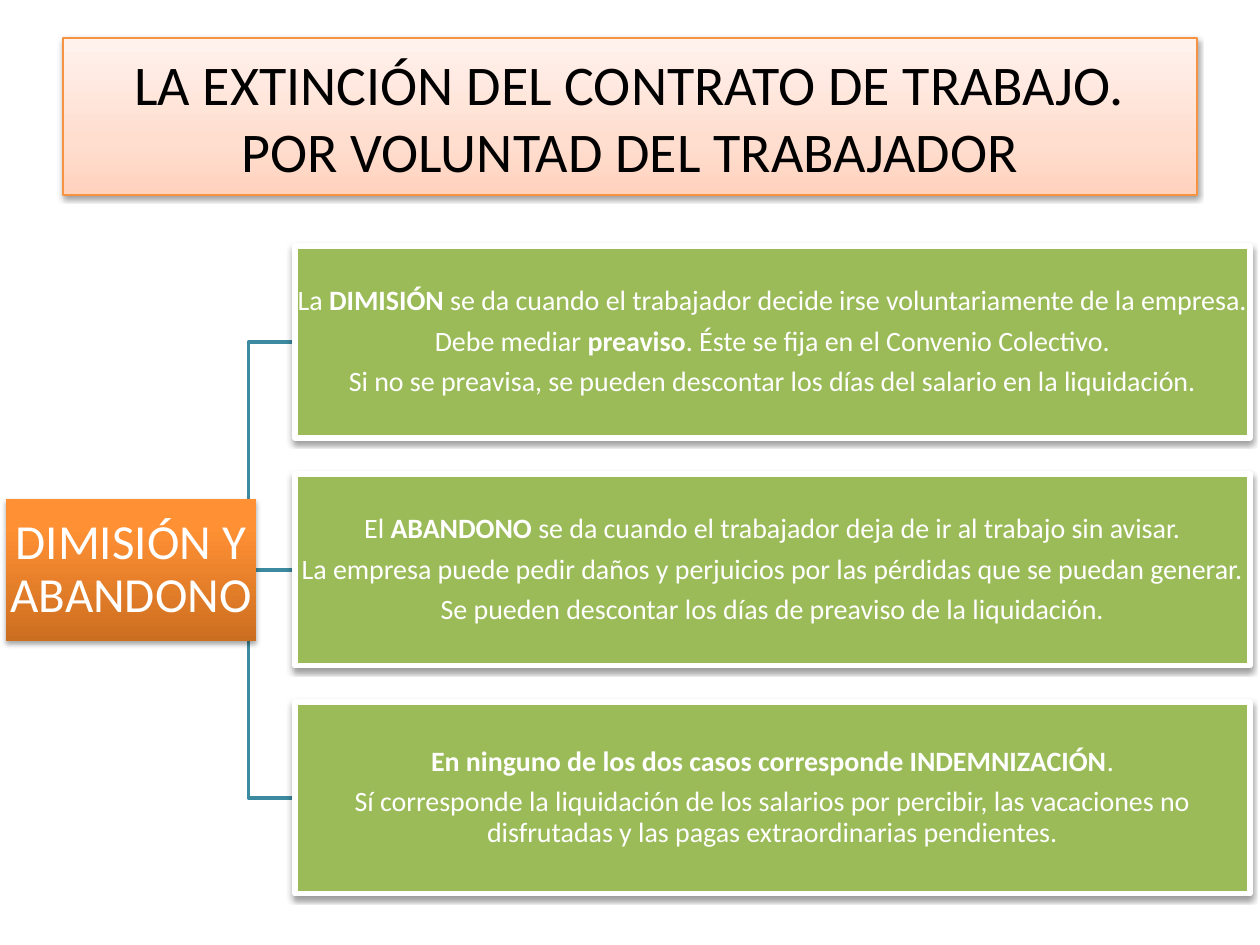
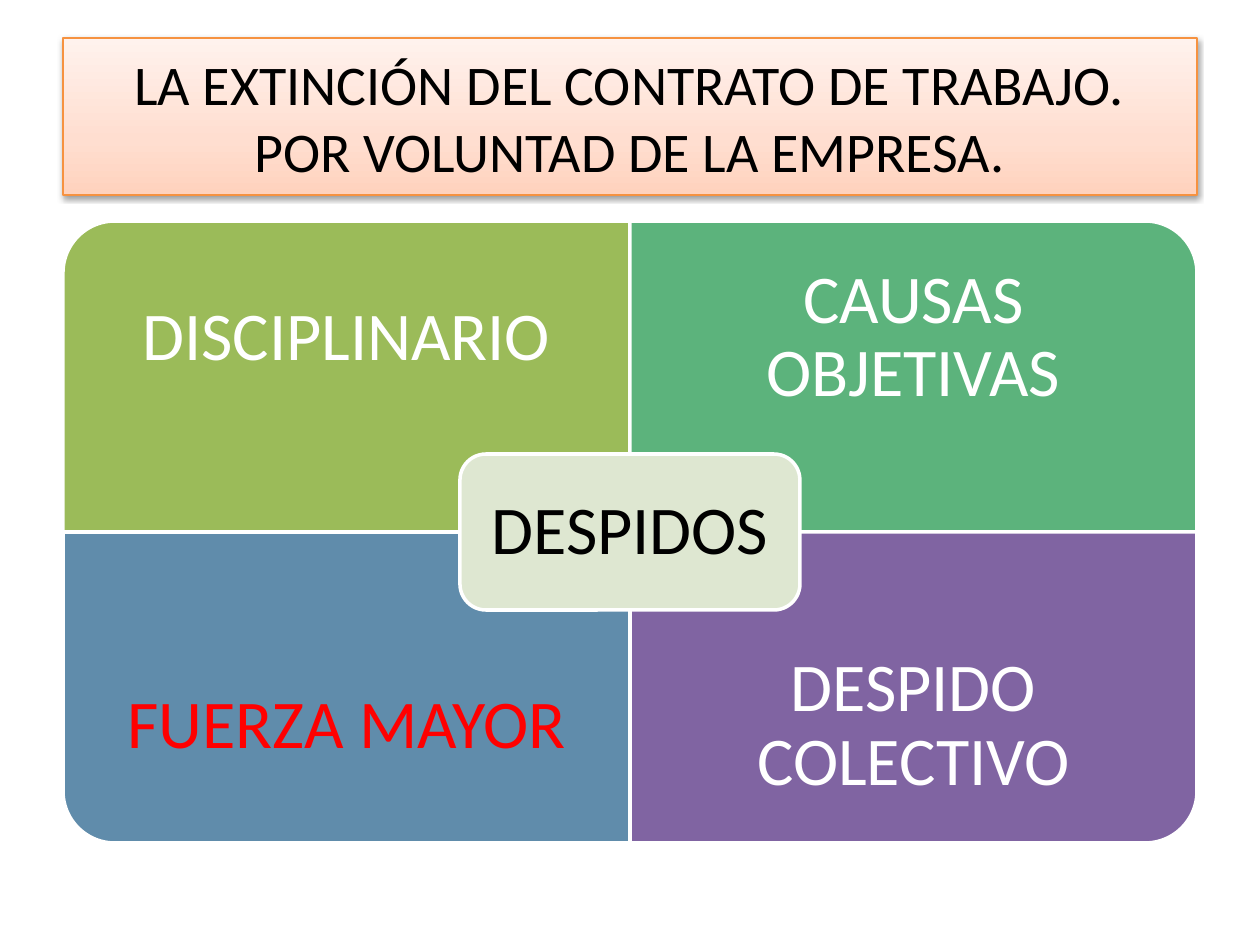
from lxml import etree
from pptx import Presentation
from pptx.dml.color import RGBColor
from pptx.enum.shapes import MSO_CONNECTOR, MSO_SHAPE
from pptx.enum.text import MSO_ANCHOR, MSO_AUTO_SIZE, PP_ALIGN
from pptx.oxml.ns import qn
from pptx.util import Emu, Pt

RECT = MSO_SHAPE.RECTANGLE
ROUNDED = MSO_SHAPE.ROUNDED_RECTANGLE
ONE_ROUND_CORNER = MSO_SHAPE.ROUND_1_RECTANGLE
ELBOW, STRAIGHT = MSO_CONNECTOR.ELBOW, MSO_CONNECTOR.STRAIGHT
MIDDLE = MSO_ANCHOR.MIDDLE
CENTER = PP_ALIGN.CENTER
NO_AUTOFIT = MSO_AUTO_SIZE.NONE

FONT = "Calibri"
WHITE = RGBColor(0xFF, 0xFF, 0xFF)
BLACK = RGBColor(0x00, 0x00, 0x00)
RED = RGBColor(0xFF, 0x00, 0x00)
GREEN = RGBColor(0x9B, 0xBB, 0x59)
EMERALD = RGBColor(0x5C, 0xB3, 0x7C)
BLUE = RGBColor(0x60, 0x8C, 0xAB)
PURPLE = RGBColor(0x80, 0x64, 0xA2)
PALE_GREEN = RGBColor(0xDE, 0xE7, 0xD1)
TEAL = RGBColor(0x3C, 0x8A, 0x9F)
ORANGE = RGBColor(0xF6, 0x92, 0x40)
# Gradient stops from bottom to top: percent and colour
PEACH_STOPS = [(0, RGBColor(0xFF, 0xD2, 0xBD)), (35, RGBColor(0xFF, 0xDE, 0xD0)),
               (100, RGBColor(0xFF, 0xF2, 0xED))]
ORANGE_STOPS = [(0, RGBColor(0xCC, 0x6E, 0x20)), (80, RGBColor(0xFF, 0x90, 0x34)),
                (100, RGBColor(0xFF, 0x91, 0x36))]

PX_PER_INCH = 126
SUBJECT = "LA EXTINCIÓN DEL CONTRATO DE TRABAJO."

RESIGNATION_RULES = [
    ["La *DIMISIÓN* se da cuando el trabajador decide irse voluntariamente de la empresa.",
     "Debe mediar *preaviso*. Éste se fija en el Convenio Colectivo.",
     "Si no se preavisa, se pueden descontar los días del salario en la liquidación."],
    ["El *ABANDONO* se da cuando el trabajador deja de ir al trabajo sin avisar.",
     "La empresa puede pedir daños y perjuicios por las pérdidas que se puedan generar.",
     "Se pueden descontar los días de preaviso de la liquidación."],
    ["*En ninguno de los dos casos corresponde INDEMNIZACIÓN*.",
     "Sí corresponde la liquidación de los salarios por percibir, las vacaciones no "
     "disfrutadas y las pagas extraordinarias pendientes."],
]

# Name, fill, text colour, column, row, rotation that turns the round corner outwards
DISMISSALS = [
    ("DISCIPLINARIO", GREEN, WHITE, 0, 0, 270),
    ("CAUSAS OBJETIVAS", EMERALD, WHITE, 1, 0, 0),
    ("FUERZA MAYOR", BLUE, RED, 0, 1, 180),
    ("DESPIDO COLECTIVO", PURPLE, WHITE, 1, 1, 90),
]


def px(length):
    return Emu(round(length * 914400 / PX_PER_INCH))


def box(left, top, width, height):
    return px(left), px(top), px(width), px(height)


def write_text(shape, paragraphs, size, color=WHITE, inset=0, line_spacing=0.9, gap=0.35):
    """Fill a shape with paragraphs; *asterisks* mark bold, gap is a share of size."""
    frame = shape.text_frame
    frame.word_wrap = True
    frame.auto_size = NO_AUTOFIT
    frame.vertical_anchor = MIDDLE
    frame.margin_left = frame.margin_right = px(inset)
    frame.margin_top = frame.margin_bottom = px(inset)
    for index, content in enumerate(paragraphs):
        paragraph = frame.add_paragraph() if index else frame.paragraphs[0]
        paragraph.alignment = CENTER
        paragraph.line_spacing = line_spacing
        paragraph.space_after = Pt(round(size * gap, 1))
        for line_number, line in enumerate(content.split("\n")):
            if line_number:
                paragraph.add_line_break()
            for part_number, part in enumerate(line.split("*")):
                if part:
                    run = paragraph.add_run()
                    run.text = part
                    run.font.name = FONT
                    run.font.size = Pt(size)
                    run.font.bold = part_number % 2 == 1
                    run.font.color.rgb = color


def fill_gradient(shape, stops):
    """Run a gradient from bottom to top through any number of stops."""
    shape.fill.gradient()
    shape.fill.gradient_angle = 90
    stop_list = shape._element.spPr.find(".//" + qn("a:gsLst"))
    for default_stop in list(stop_list):
        stop_list.remove(default_stop)
    for percent, color in stops:
        stop = etree.SubElement(stop_list, qn("a:gs"), pos=str(percent * 1000))
        etree.SubElement(stop, qn("a:srgbClr"), val=str(color))


def set_line(shape, color, width):
    shape.line.color.rgb = color
    shape.line.width = Pt(width)


def cast_shadow(shape, opacity=38, distance=1.6):
    shape.shadow.inherit = False
    effects = shape._element.spPr.find(qn("a:effectLst"))
    shadow = etree.SubElement(effects, qn("a:outerShdw"), blurRad=str(Pt(3.1)),
                              dist=str(Pt(distance)), dir="5400000", rotWithShape="0")
    color = etree.SubElement(shadow, qn("a:srgbClr"), val=str(BLACK))
    etree.SubElement(color, qn("a:alpha"), val=str(opacity * 1000))


def add_panel(slide, kind, area, fill, line_width):
    panel = slide.shapes.add_shape(kind, *box(*area))
    panel.shadow.inherit = False
    panel.fill.solid()
    panel.fill.fore_color.rgb = fill
    set_line(panel, WHITE, line_width)
    return panel


def add_branch(slide, start_x, start_y, end_x, end_y):
    kind = STRAIGHT if start_y == end_y else ELBOW
    branch = slide.shapes.add_connector(kind, px(start_x), px(start_y), px(end_x), px(end_y))
    set_line(branch, TEAL, 2)
    etree.SubElement(branch._element.spPr, qn("a:effectLst"))


def add_titled_slide(deck, subtitle):
    slide = deck.slides.add_slide(deck.slide_layouts[5])
    title = slide.shapes.title
    title.left, title.top, title.width, title.height = box(63, 38, 1134, 157)
    fill_gradient(title, PEACH_STOPS)
    set_line(title, ORANGE, 0.75)
    cast_shadow(title)
    write_text(title, [SUBJECT + "\n" + subtitle], size=32, color=BLACK, inset=6,
               line_spacing=1, gap=0)
    return slide


def build_resignation(deck):
    slide = add_titled_slide(deck, "POR VOLUNTAD DEL TRABAJADOR")
    rule_left, first_top, rule_width, rule_height, pitch = 295, 246, 955, 192, 228
    tops = [first_top + pitch * row for row in range(len(RESIGNATION_RULES))]
    middle = tops[1] + rule_height // 2

    for top in tops:
        add_branch(slide, 202, middle, rule_left, top + rule_height // 2)

    topic_height = 142
    topic = slide.shapes.add_shape(RECT, *box(6, middle - topic_height // 2, 250, topic_height))
    fill_gradient(topic, ORANGE_STOPS)
    topic.line.fill.background()
    cast_shadow(topic, opacity=35, distance=1.8)
    write_text(topic, ["DIMISIÓN Y ABANDONO"], size=28, inset=2)

    for top, paragraphs in zip(tops, RESIGNATION_RULES):
        rule = add_panel(slide, RECT, (rule_left, top, rule_width, rule_height), GREEN, 3)
        cast_shadow(rule)
        write_text(rule, paragraphs, size=16, inset=1)


def build_dismissals(deck):
    slide = add_titled_slide(deck, "POR VOLUNTAD DE LA EMPRESA.")
    left, top, width, height, label_height = 63, 221, 567, 311, 234

    for name, fill, text_color, column, row, rotation in DISMISSALS:
        x, y = left + column * width, top + row * height
        # A quarter turn swaps the sides around the same centre
        w, h = (height, width) if rotation % 180 else (width, height)
        area = (x + (width - w) / 2, y + (height - h) / 2, w, h)
        quadrant = add_panel(slide, ONE_ROUND_CORNER, area, fill, 2)
        quadrant.rotation = rotation
        label_top = y + row * (height - label_height)
        label = slide.shapes.add_textbox(*box(x, label_top, width, label_height))
        write_text(label, [name], size=39, color=text_color, inset=38)

    hub_width, hub_height = 340, 156
    hub_area = (left + width - hub_width // 2, top + height - hub_height // 2,
                hub_width, hub_height)
    hub = add_panel(slide, ROUNDED, hub_area, PALE_GREEN, 2)
    write_text(hub, ["DESPIDOS"], size=39, color=BLACK, inset=20)


def main():
    deck = Presentation()
    deck.slide_width, deck.slide_height = px(1260), px(945)
    build_resignation(deck)
    build_dismissals(deck)
    deck.save("out.pptx")


if __name__ == "__main__":
    main()
